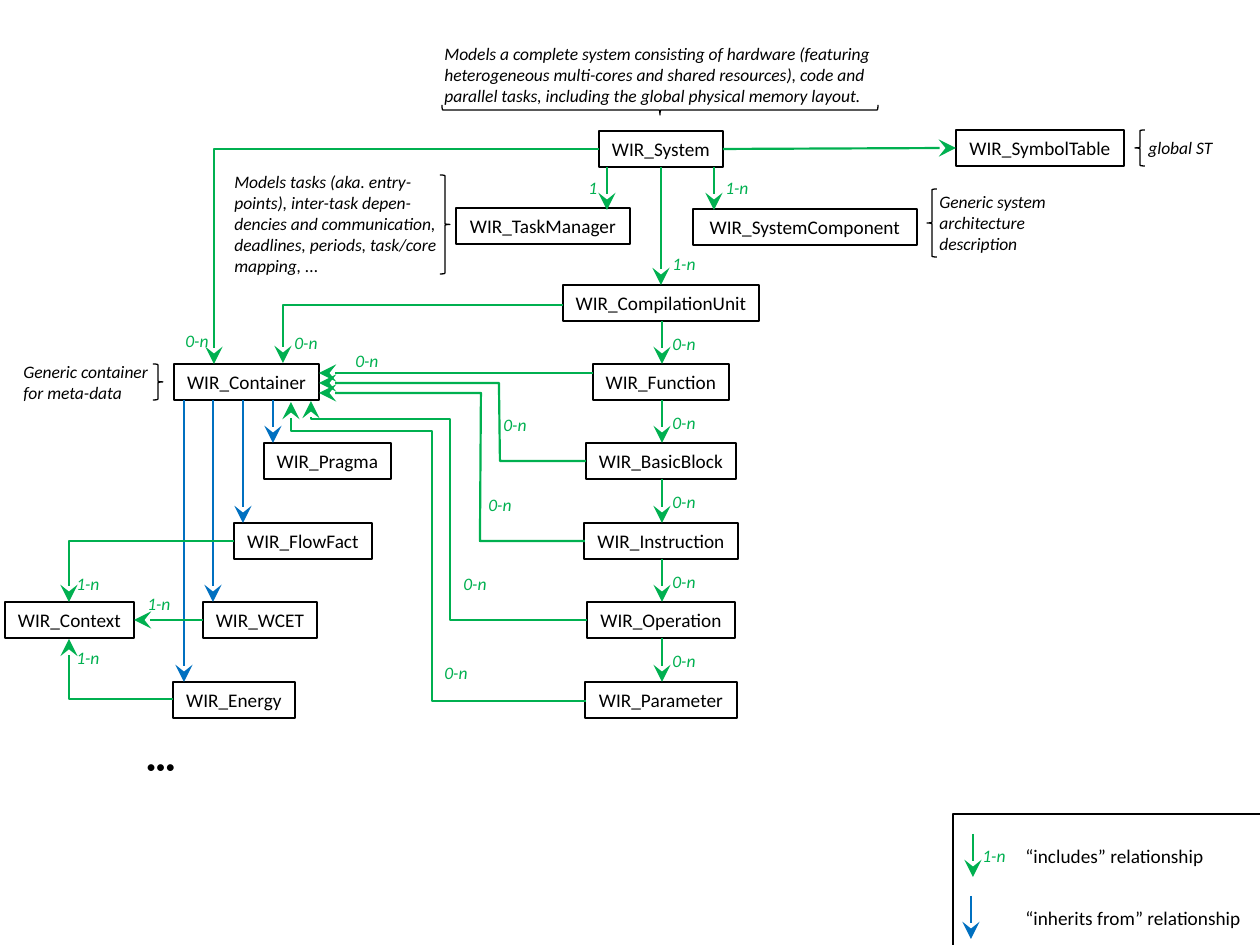
import dataclasses

import lxml.etree
import pptx
import pptx.dml.color
import pptx.enum.shapes
import pptx.enum.text
import pptx.oxml.ns
import pptx.util

SHAPES = pptx.enum.shapes.MSO_SHAPE
CONNECTORS = pptx.enum.shapes.MSO_CONNECTOR
ALIGN = pptx.enum.text.PP_ALIGN
QN = pptx.oxml.ns.qn


@dataclasses.dataclass(frozen=True)
class Theme:
    font: str = "Calibri"
    ink: str = "000000"
    includes: str = "00B050"
    inherits: str = "0070C0"
    name_size: float = 11
    note_size: float = 10
    box_line: float = 1
    brace_line: float = 0.75
    arrow_line: float = 1.25
    box_height: int = 36
    label_width: int = 49
    label_height: int = 34


class Diagram:
    """Draws class diagram elements on one slide, measured in pixels."""

    scale = 914400 / 126

    def __init__(self, slide, theme):
        self.slide = slide
        self.theme = theme

    def emu(self, *pixels):
        return [round(pixel * self.scale) for pixel in pixels]

    def color(self, value):
        return pptx.dml.color.RGBColor.from_string(value)

    def outline(self, shape, color, width):
        shape.line.color.rgb = self.color(color)
        shape.line.width = pptx.util.Pt(width)

    def shape(self, kind, left, top, width, height, line_width):
        shape = self.slide.shapes.add_shape(kind, *self.emu(left, top, width, height))
        shape.shadow.inherit = False
        shape.fill.background()
        self.outline(shape, self.theme.ink, line_width)
        return shape

    def set_text(self, shape, text, size, color, italic, align):
        frame = shape.text_frame
        frame.word_wrap = False
        frame.auto_size = pptx.enum.text.MSO_AUTO_SIZE.SHAPE_TO_FIT_TEXT
        frame.text = text
        for para in frame.paragraphs:
            para.alignment = align
            para.font.name = self.theme.font
            para.font.size = pptx.util.Pt(size)
            para.font.italic = italic
            para.font.color.rgb = self.color(color)

    def frame(self, left, top, width, height):
        return self.shape(SHAPES.RECTANGLE, left, top, width, height, self.theme.box_line)

    def box(self, name, left, top, width):
        box = self.frame(left, top, width, self.theme.box_height)
        self.set_text(box, name, self.theme.name_size, self.theme.ink, False, ALIGN.CENTER)

    def text(self, text, left, top, width, height, size, color, italic):
        box = self.slide.shapes.add_textbox(*self.emu(left, top, width, height))
        self.set_text(box, text, size, color, italic, ALIGN.LEFT)

    def note(self, text, left, top, width, height):
        self.text(text, left, top, width, height, self.theme.note_size, self.theme.ink, True)

    def caption(self, text, left, top, width):
        height = self.theme.box_height
        self.text(text, left, top, width, height, self.theme.name_size, self.theme.ink, False)

    def label(self, text, left, top, width=None):
        theme = self.theme
        self.text(text, left, top, width or theme.label_width, theme.label_height,
                  theme.note_size, theme.includes, True)

    def brace(self, left, top, width, height, rotation=0, flipped=False):
        brace = self.shape(SHAPES.LEFT_BRACE, left, top, width, height, self.theme.brace_line)
        brace.rotation = rotation
        if flipped:
            brace.element.spPr.xfrm.set("flipH", "1")

    def finish_arrow(self, arrow, color):
        self.outline(arrow, color, self.theme.arrow_line)
        line = arrow.element.spPr.find(QN("a:ln"))
        lxml.etree.SubElement(line, QN("a:tailEnd"), type="stealth", w="lg", len="lg")

    def arrow(self, start, end, color=None, bent=False):
        kind = CONNECTORS.ELBOW if bent else CONNECTORS.STRAIGHT
        arrow = self.slide.shapes.add_connector(kind, *self.emu(*start, *end))
        self.finish_arrow(arrow, color or self.theme.includes)
        properties = arrow.element.spPr
        lxml.etree.SubElement(properties, QN("a:effectLst"))
        if bent:
            properties.find(QN("a:prstGeom")).set("prst", "bentConnector2")

    def route(self, start, *points):
        builder = self.slide.shapes.build_freeform(*start, scale=self.scale)
        builder.add_line_segments(points, close=False)
        route = builder.convert_to_shape()
        route.shadow.inherit = False
        route.fill.background()
        self.finish_arrow(route, self.theme.includes)


def row(index):
    return round(284.6 + 79.4 * index)


deck = pptx.Presentation()
deck.slide_width = pptx.util.Inches(10)
deck.slide_height = pptx.util.Inches(7.5)
page = deck.slides.add_slide(deck.slide_layouts[6])
theme = Theme()
diagram = Diagram(page, theme)

for name, left, top, width in [
    ("WIR_System", 599, 131, 124),
    ("WIR_SymbolTable", 956, 130, 168),
    ("WIR_TaskManager", 456, 208, 174),
    ("WIR_SystemComponent", 693, 209, 224),
    ("WIR_Container", 174, row(1), 145),
    ("WIR_Pragma", 264, row(2), 127),
    ("WIR_FlowFact", 234, row(3), 138),
    ("WIR_WCET", 203, row(4), 114),
    ("WIR_Energy", 173, row(5), 122),
    ("WIR_Context", 5, row(4), 129),
]:
    diagram.box(name, left, top, width)

code_levels = [("CompilationUnit", 196), ("Function", 136), ("BasicBlock", 150),
               ("Instruction", 154), ("Operation", 148), ("Parameter", 152)]
for index, (name, width) in enumerate(code_levels):
    diagram.box(f"WIR_{name}", 661 - width // 2, row(index), width)
    if index:
        bottom = row(index - 1) + theme.box_height
        diagram.arrow((662, bottom), (662, row(index)))
        diagram.label("0-n", 660, bottom + 6)

for index, x in enumerate([273, 243, 213, 184], start=2):
    diagram.arrow((x, row(1) + theme.box_height), (x, row(index)), theme.inherits)

for start, end in [
    ((607, 167), (607, 210)),
    ((661, 167), (661, 285)),
    ((714, 167), (714, 210)),
    ((723, 149), (956, 148)),
    ((593, 373), (319, 373)),
    ((203, 620), (134, 620)),
    ((973, 834), (973, 877)),
]:
    diagram.arrow(start, end)

for start, end in [((599, 149), (214, 364)), ((234, 541), (69, 602)), ((173, 699), (69, 639))]:
    diagram.arrow(start, end, bent=True)

for points in [
    [(563, 305), (283, 305), (283, 363)],
    [(586, 461), (500, 461), (499, 383), (319, 383)],
    [(585, 541), (480, 541), (481, 393), (319, 393)],
    [(587, 620), (450, 620), (450, 419), (311, 419), (311, 401)],
    [(586, 701), (432, 701), (432, 431), (291, 431), (291, 402)],
]:
    diagram.route(*points)

for text, left, top in [
    ("1-n", 713, 171), ("1-n", 660, 247), ("0-n", 282, 326), ("0-n", 343, 344),
    ("0-n", 491, 408), ("0-n", 476, 488), ("0-n", 451, 567), ("0-n", 432, 656),
    ("1-n", 64, 567), ("1-n", 64, 641), ("1-n", 135, 587), ("1-n", 970, 839),
]:
    diagram.label(text, left, top)
diagram.label("1", 576, 171, 34)
diagram.label("0-n", 173, 324, 71)

diagram.note("Models a complete system consisting of hardware (featuring\n"
             "heterogeneous multi-cores and shared resources), code and\n"
             "parallel tasks, including the global physical memory layout.", 432, 37, 456, 77)
diagram.note("Models tasks (aka. entry-\npoints), inter-task depen-\n"
             "dencies and communication,\ndeadlines, periods, task/core\n"
             "mapping, ...", 222, 165, 229, 118)
diagram.note("Generic system\narchitecture\ndescription", 927, 185, 134, 77)
diagram.note("Generic container\nfor meta-data", 11, 355, 151, 55)
diagram.note("global ST", 1136, 131, 91, 34)

diagram.brace(655, -108, 10, 436, rotation=270)
diagram.brace(440, 175, 10, 99, flipped=True)
diagram.brace(153, 364, 10, 36, flipped=True)
diagram.brace(927, 189, 10, 68)
diagram.brace(1135, 130, 10, 36)

diagram.caption("•••", 134, 748, 54)
diagram.frame(953, 814, 312, 135)
diagram.caption("“includes” relationship", 1013, 838, 204)
diagram.arrow((971, 896), (971, 939), theme.inherits)
diagram.caption("“inherits from” relationship", 1013, 900, 242)

deck.save("out.pptx")
